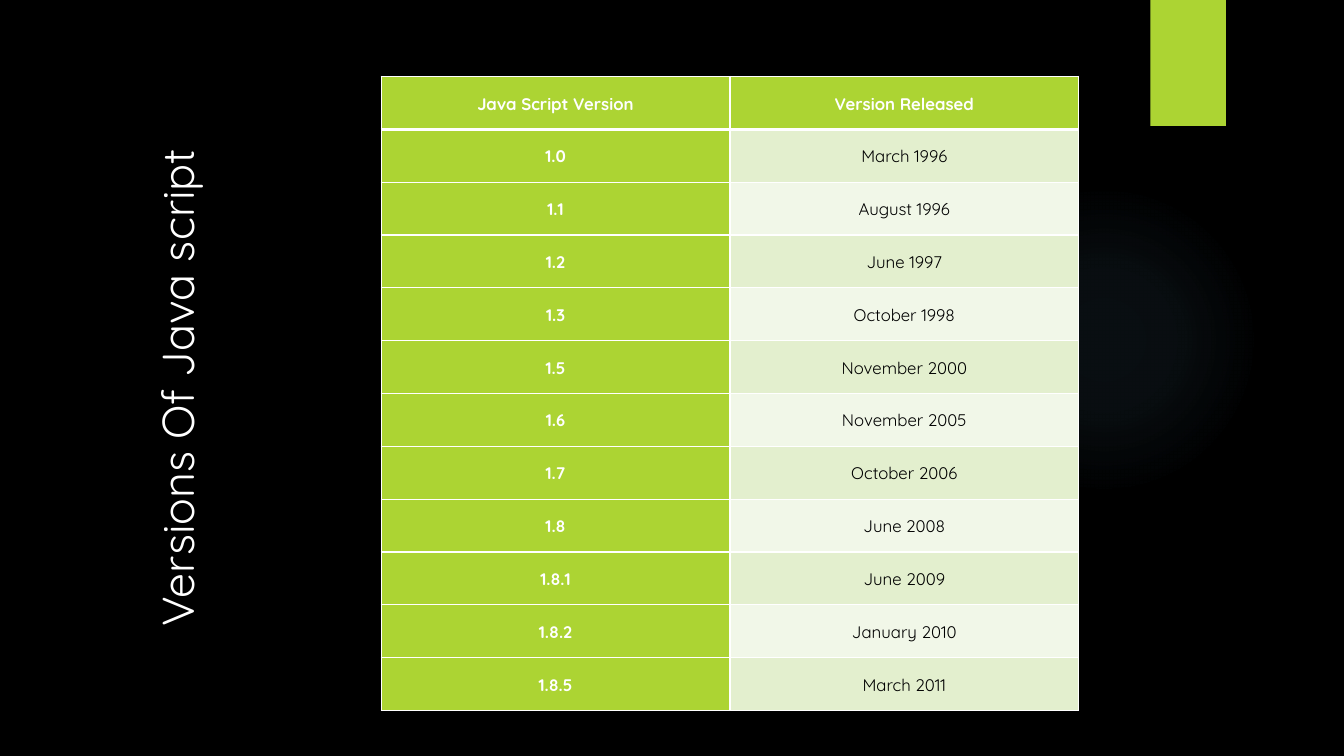
import pptx
import pptx.dml.color
import pptx.enum.shapes
import pptx.enum.text
import pptx.oxml
import pptx.oxml.ns
import pptx.util

Inches, Pt = pptx.util.Inches, pptx.util.Pt
RGBColor = pptx.dml.color.RGBColor
MSO_SHAPE = pptx.enum.shapes.MSO_SHAPE
MSO_ANCHOR = pptx.enum.text.MSO_ANCHOR
PP_ALIGN = pptx.enum.text.PP_ALIGN

TITLE = "Versions Of Java script"
ROWS = [
    ("Java Script Version", "Version Released"),
    ("1.0", "March 1996"),
    ("1.1", "August 1996"),
    ("1.2", "June 1997"),
    ("1.3", "October 1998"),
    ("1.5", "November 2000"),
    ("1.6", "November 2005"),
    ("1.7", "October 2006"),
    ("1.8", "June 2008"),
    ("1.8.1", "June 2009"),
    ("1.8.2", "January 2010"),
    ("1.8.5", "March 2011"),
]
GLOW_STOPS = [(0, 7), (36, 6), (69, 0)]  # position and opacity, percent

FONT = "Quicksand"
BLACK = RGBColor(0x00, 0x00, 0x00)
WHITE = RGBColor(0xFF, 0xFF, 0xFF)
GREEN = RGBColor(0xAC, 0xD4, 0x33)
BAND_DARK = RGBColor(0xE3, 0xEF, 0xCE)
BAND_LIGHT = RGBColor(0xF1, 0xF7, 0xE8)
GLOW = RGBColor(0x7A, 0xC4, 0xF0)
NS = pptx.oxml.ns.nsdecls("a")


def add_plain_shape(slide, kind, *box):
    sp = slide.shapes.add_shape(kind, *map(Inches, box))
    sp.shadow.inherit = False
    sp.line.fill.background()
    return sp


def add_glow(slide):
    sp = add_plain_shape(slide, MSO_SHAPE.OVAL, 9.41, 1.83, 3.08, 3.08)
    sp.fill.background()
    stops = "".join(
        f'<a:gs pos="{pos * 1000}"><a:srgbClr val="{GLOW}">'
        f'<a:alpha val="{alpha * 1000}"/></a:srgbClr></a:gs>'
        for pos, alpha in GLOW_STOPS)
    grad = pptx.oxml.parse_xml(
        f'<a:gradFill {NS}><a:gsLst>{stops}</a:gsLst><a:path path="circle">'
        '<a:fillToRect l="50000" t="50000" r="50000" b="50000"/></a:path></a:gradFill>')
    sp_pr = sp._element.spPr
    sp_pr.replace(sp_pr.find(pptx.oxml.ns.qn("a:noFill")), grad)


def set_borders(cell, bottom):
    """Draw white borders of 1 pt, with the bottom one as given in points."""
    tc_pr = cell._tc.get_or_add_tcPr()
    for i, (side, width) in enumerate(zip("LRTB", (1, 1, 1, bottom))):
        tc_pr.insert(i, pptx.oxml.parse_xml(
            f'<a:ln{side} {NS} w="{Pt(width)}"><a:solidFill>'
            f'<a:srgbClr val="{WHITE}"/></a:solidFill></a:ln{side}>'))


def format_cell(cell, row, col):
    header = row == 0
    strong = header or col == 0
    cell.fill.solid()
    band = BAND_DARK if row % 2 else BAND_LIGHT
    cell.fill.fore_color.rgb = GREEN if strong else band
    set_borders(cell, 3 if header else 1)
    cell.vertical_anchor = MSO_ANCHOR.MIDDLE
    cell.margin_left = cell.margin_right = Inches(0.07)
    cell.margin_top = cell.margin_bottom = 0
    p = cell.text_frame.paragraphs[0]
    p.alignment = PP_ALIGN.CENTER
    p.line_spacing = 1.07
    p.font.name, p.font.size, p.font.bold = FONT, Pt(12), strong
    p.font.color.rgb = WHITE if strong else BLACK


def add_versions_table(slide):
    table = slide.shapes.add_table(
        len(ROWS), 2, Inches(3.78), Inches(0.76), Inches(6.92), Inches(6.29)).table
    for r, texts in enumerate(ROWS):
        for c, text in enumerate(texts):
            cell = table.cell(r, c)
            cell.text = text
            format_cell(cell, r, c)


def format_title(title):
    title.left, title.top, title.width, title.height = map(
        Inches, (-0.25, 2.92, 5.08, 1.72))
    title.rotation = 270
    tf = title.text_frame
    tf.text = TITLE
    tf.word_wrap = True
    tf.auto_size = pptx.enum.text.MSO_AUTO_SIZE.NONE
    tf.vertical_anchor = MSO_ANCHOR.TOP
    p = tf.paragraphs[0]
    p.alignment = PP_ALIGN.LEFT
    p.font.name, p.font.size = FONT, Pt(32)
    p.font.color.rgb = WHITE


def main():
    prs = pptx.Presentation()
    prs.slide_width, prs.slide_height = Inches(13.33), Inches(7.5)
    slide = prs.slides.add_slide(prs.slide_layouts[5])
    slide.background.fill.solid()
    slide.background.fill.fore_color.rgb = BLACK

    add_glow(slide)
    tab = add_plain_shape(slide, MSO_SHAPE.RECTANGLE, 11.41, 0, 0.75, 1.25)
    tab.fill.solid()
    tab.fill.fore_color.rgb = GREEN
    format_title(slide.shapes.title)
    add_versions_table(slide)
    prs.save("out.pptx")


if __name__ == "__main__":
    main()
